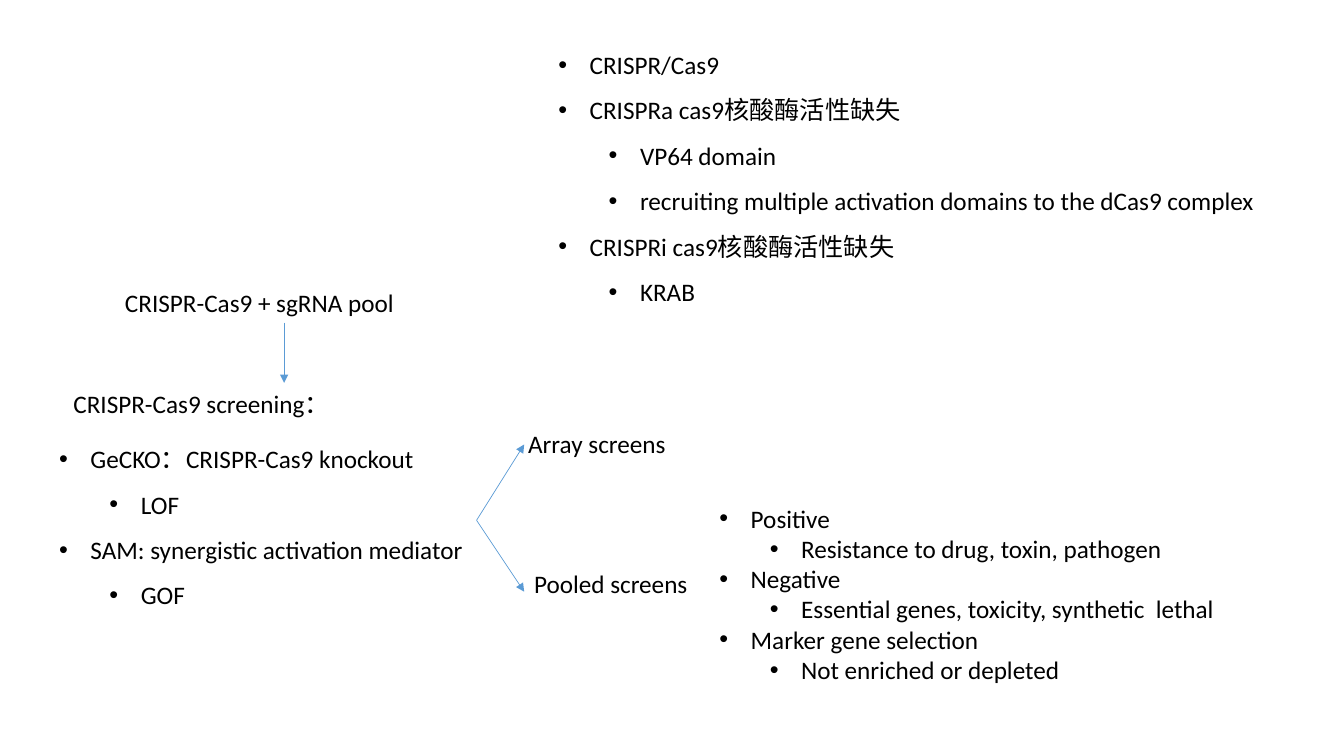
from lxml.etree import SubElement
from pptx import Presentation
from pptx.dml.color import RGBColor
from pptx.enum.shapes import MSO_CONNECTOR
from pptx.oxml.ns import qn
from pptx.util import Cm, Pt

BLACK = RGBColor(0x00, 0x00, 0x00)
BLUE = RGBColor(0x5B, 0x9B, 0xD5)
BULLET_HANG = Cm(0.79)
LEVEL_INDENT = Cm(1.27)
LABEL_HEIGHT = 1.02

# Each item is (level, wording)
CAS9_VARIANTS = [
    (0, "CRISPR/Cas9"),
    (0, "CRISPRa cas9核酸酶活性缺失"),
    (1, "VP64 domain"),
    (1, "recruiting multiple activation domains to the dCas9 complex"),
    (0, "CRISPRi cas9核酸酶活性缺失"),
    (1, "KRAB"),
]
SCREENING_LIBRARIES = [
    (0, "GeCKO：CRISPR-Cas9 knockout"),
    (1, "LOF"),
    (0, "SAM: synergistic activation mediator"),
    (1, "GOF"),
]
POOLED_SELECTIONS = [
    (0, "Positive"),
    (1, "Resistance to drug, toxin, pathogen"),
    (0, "Negative"),
    (1, "Essential genes, toxicity, synthetic  lethal"),
    (0, "Marker gene selection"),
    (1, "Not enriched or depleted"),
]


def add_text_frame(slide, left, top, width, height):
    box = slide.shapes.add_textbox(Cm(left), Cm(top), Cm(width), Cm(height))
    box.text_frame.word_wrap = True
    return box.text_frame


def write_line(paragraph, wording):
    paragraph.text = wording
    font = paragraph.runs[0].font
    font.name = "Calibri"
    font.size = Pt(18)
    font.color.rgb = BLACK


def set_bullet(paragraph, level):
    paragraph.level = level
    properties = paragraph._p.get_or_add_pPr()
    properties.set("marL", str(BULLET_HANG + level * LEVEL_INDENT))
    properties.set("indent", str(-BULLET_HANG))
    SubElement(properties, qn("a:buFont"), typeface="Arial")
    SubElement(properties, qn("a:buChar"), char="•")


def add_label(slide, wording, left, top, width):
    frame = add_text_frame(slide, left, top, width, LABEL_HEIGHT)
    write_line(frame.paragraphs[0], wording)


def add_bullet_list(slide, items, left, top, width, height, spacing=1.0):
    frame = add_text_frame(slide, left, top, width, height)
    for index, (level, wording) in enumerate(items):
        paragraph = frame.add_paragraph() if index else frame.paragraphs[0]
        write_line(paragraph, wording)
        paragraph.line_spacing = spacing
        set_bullet(paragraph, level)


def add_arrow(slide, start, end):
    arrow = slide.shapes.add_connector(
        MSO_CONNECTOR.STRAIGHT, *map(Cm, start), *map(Cm, end)
    )
    arrow.line.color.rgb = BLUE
    arrow.line.width = Pt(0.5)
    SubElement(arrow.line._get_or_add_ln(), qn("a:tailEnd"), type="triangle")
    SubElement(arrow._element.spPr, qn("a:effectLst"))


def main():
    presentation = Presentation()
    presentation.slide_width = Cm(33.87)
    presentation.slide_height = Cm(19.05)
    slide = presentation.slides.add_slide(presentation.slide_layouts[6])

    add_bullet_list(slide, CAS9_VARIANTS, 13.82, 0.74, 19.28, 7.19, spacing=1.5)

    add_label(slide, "CRISPR-Cas9 + sgRNA pool", 2.9, 7.11, 8.53)
    add_arrow(slide, (7.16, 8.13), (7.16, 9.65))
    add_label(slide, "CRISPR-Cas9 screening：", 1.6, 9.65, 11.13)
    add_bullet_list(slide, SCREENING_LIBRARIES, 1.24, 10.67, 10.77, 4.88, spacing=1.5)

    fork = (12.01, 13.11)
    add_arrow(slide, fork, (13.21, 11.2))
    add_arrow(slide, fork, (13.21, 14.91))
    add_label(slide, "Array screens", 13.06, 10.67, 6.17)
    add_label(slide, "Pooled screens", 13.21, 14.2, 4.67)
    add_bullet_list(slide, POOLED_SELECTIONS, 17.88, 12.55, 13.41, 4.88)

    presentation.save("out.pptx")


if __name__ == "__main__":
    main()
